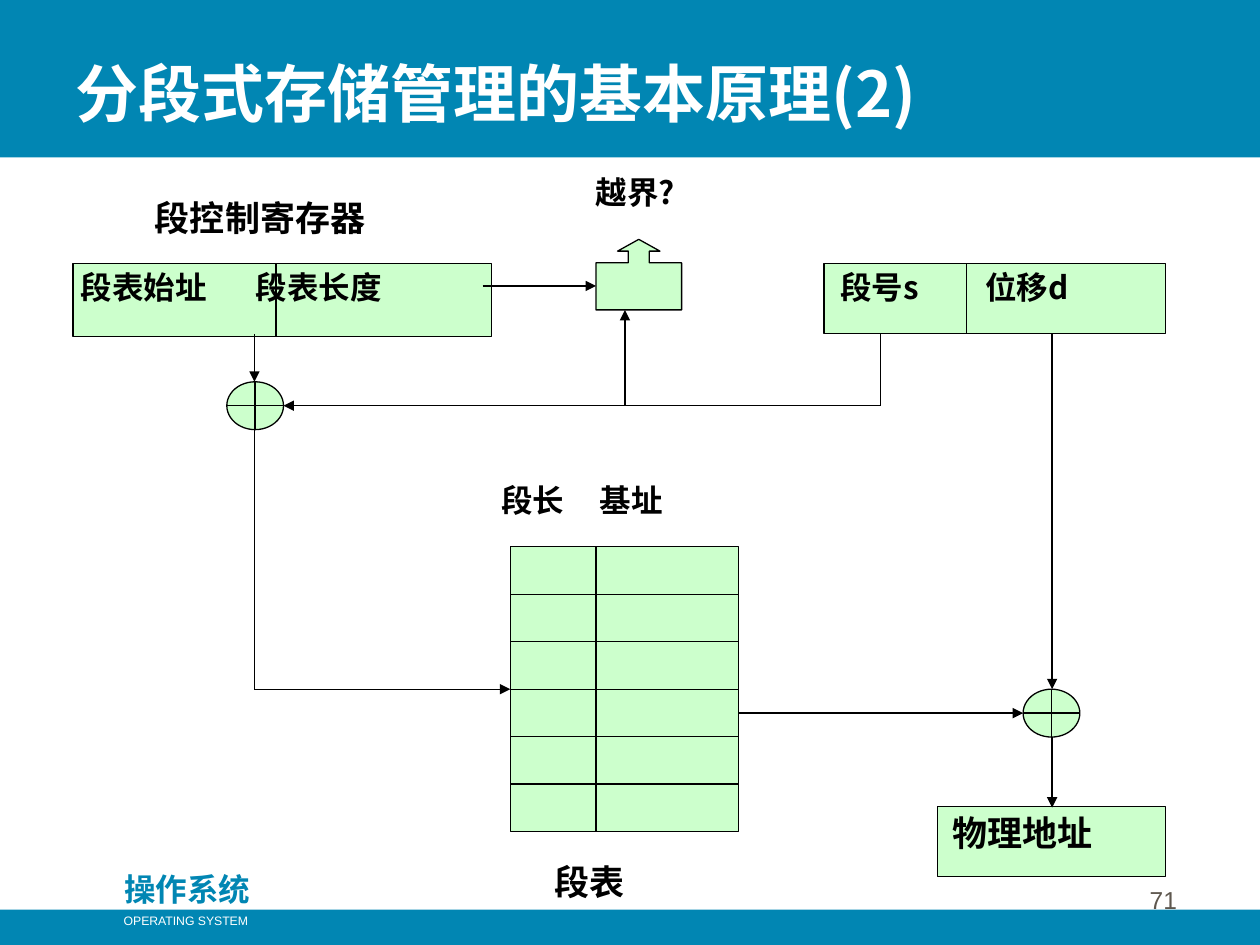
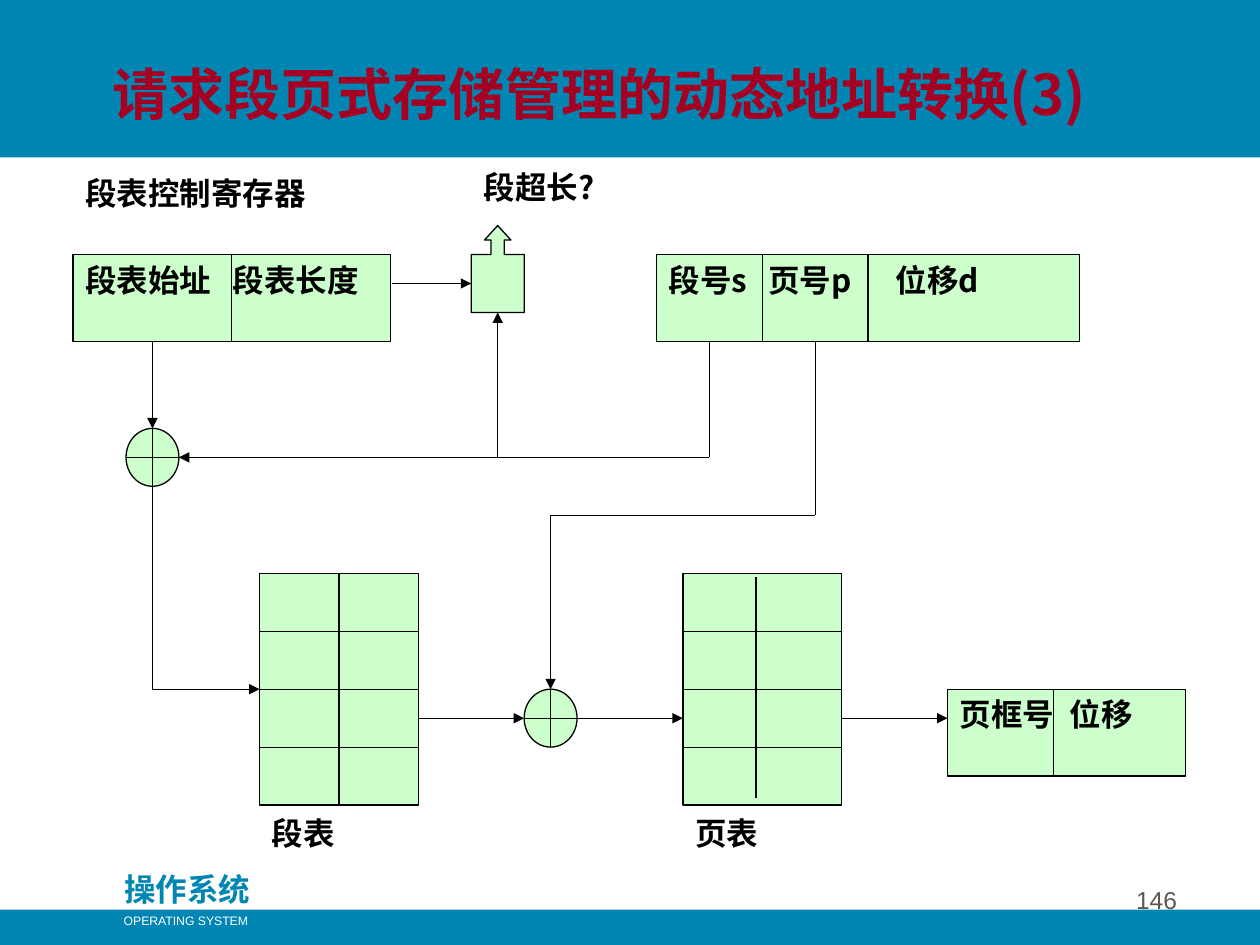
from dataclasses import dataclass
from itertools import pairwise

from lxml.etree import SubElement
from pptx import Presentation
from pptx.dml.color import RGBColor
from pptx.enum.shapes import MSO_CONNECTOR, MSO_SHAPE
from pptx.enum.text import MSO_ANCHOR, MSO_AUTO_SIZE, PP_ALIGN
from pptx.oxml.ns import qn
from pptx.presentation import Presentation as Deck
from pptx.shapes.autoshape import Shape
from pptx.slide import Slide
from pptx.util import Inches, Pt

BLUE = RGBColor(0x01, 0x86, 0xB3)
GREEN = RGBColor(0xCC, 0xFF, 0xCC)
BLACK = RGBColor(0x00, 0x00, 0x00)
WHITE = RGBColor(0xFF, 0xFF, 0xFF)
RED = RGBColor(0xA5, 0x00, 0x21)
GRAY = RGBColor(0x5E, 0x57, 0x4E)
CJK_FONT = "Noto Sans CJK SC"
LATIN_FONT = "Arial"
LINE_WIDTH = Pt(0.75)
TITLE_ONLY = 5

Insets = tuple[float, float, float, float]
Point = tuple[float, float]
WIDE_INSETS = (0.1, 0.05, 0.1, 0.05)
LABEL_INSETS = (0.1, 0, 0.1, 0)


@dataclass(frozen=True)
class Box:
    left: float
    top: float
    width: float
    height: float

    @property
    def right(self) -> float:
        return self.left + self.width

    @property
    def bottom(self) -> float:
        return self.top + self.height

    def lengths(self) -> list[int]:
        return [Inches(value) for value in (self.left, self.top, self.width, self.height)]


@dataclass(frozen=True)
class TextStyle:
    size: float = 18
    color: RGBColor = BLACK
    font: str = CJK_FONT
    bold: bool = True
    alignment: PP_ALIGN = PP_ALIGN.LEFT
    anchor: MSO_ANCHOR = MSO_ANCHOR.TOP
    wrap: bool = True


@dataclass(frozen=True)
class Label:
    """Text in a box; tabs are measured from the left inset."""
    box: Box
    text: str
    insets: Insets = WIDE_INSETS
    style: TextStyle = TextStyle()
    tabs: tuple[float, ...] = ()


@dataclass(frozen=True)
class Register:
    label: Label
    dividers: tuple[float, ...] = ()


@dataclass(frozen=True)
class Grid:
    box: Box
    rows: int
    divider: tuple[Point, Point]


@dataclass(frozen=True)
class Callout:
    box: Box
    adjustments: tuple[float, ...]


@dataclass(frozen=True)
class Route:
    points: tuple[Point, ...]
    arrow: bool = True


@dataclass(frozen=True)
class Diagram:
    title: Label
    number: str
    labels: tuple[Label, ...]
    registers: tuple[Register, ...]
    grids: tuple[Grid, ...]
    callout: Callout
    adders: tuple[Box, ...]
    routes: tuple[Route, ...]


def narrow(left: float) -> Insets:
    return (left, 0.04, 0, 0)


LARGE = TextStyle(size=20)
FOOTER_LABELS = (
    Label(Box(0.83, 6.86, 1.31, 0.4), "操作系统",
          style=TextStyle(color=BLUE, alignment=PP_ALIGN.CENTER)),
    Label(Box(0.88, 7.2, 1.19, 0.22), "OPERATING SYSTEM",
          style=TextStyle(7, WHITE, LATIN_FONT, False, PP_ALIGN.CENTER, wrap=False)),
)
BANDS = (Box(0, 0, 10, 1.25), Box(0, 7.22, 10, 0.28))
NUMBER_BOX = Box(7.36, 6.81, 2.08, 0.5)
NUMBER_STYLE = TextStyle(14, GRAY, LATIN_FONT, False, PP_ALIGN.RIGHT, MSO_ANCHOR.BOTTOM)

SEGMENTATION = Diagram(
    title=Label(Box(0.5, 0.33, 9.25, 0.75), "分段式存储管理的基本原理(2)",
                style=TextStyle(36, WHITE, anchor=MSO_ANCHOR.BOTTOM)),
    number="71",
    labels=(
        Label(Box(1.23, 1.52, 2.35, 0.43), "段控制寄存器", narrow(0), LARGE),
        Label(Box(3.9, 3.78, 2.09, 0.42), "段长\t基址", narrow(0.08), tabs=(0.78,)),
        Label(Box(4.73, 1.33, 1.13, 0.38), "越界?", narrow(0)),
        Label(Box(4.28, 6.79, 1.13, 0.38), "段表", narrow(0.12), LARGE),
    ),
    registers=(
        Register(Label(Box(0.58, 2.09, 3.32, 0.58), "段表始址\t段表长度",
                       narrow(0.06), tabs=(1.39,)), (2.19,)),
        Register(Label(Box(6.54, 2.09, 2.71, 0.56), "段号s\t位移d",
                       narrow(0.13), tabs=(1.15,)), (7.67,)),
        Register(Label(Box(7.44, 6.4, 1.81, 0.56), "物理地址", narrow(0.12), LARGE)),
    ),
    grids=(Grid(Box(4.05, 4.34, 1.81, 2.26), 6, ((4.73, 4.34), (4.73, 6.6))),),
    callout=Callout(Box(4.73, 1.9, 0.68, 0.56), (0.3, 0.3, 0.167, 0.667)),
    adders=(Box(1.8, 3.03, 0.45, 0.38), Box(8.12, 5.47, 0.45, 0.38)),
    routes=(
        Route(((2.02, 2.65), (2.02, 3.03))),
        Route(((6.99, 2.65), (6.99, 3.22), (2.25, 3.22))),
        Route(((2.02, 3.4), (2.02, 5.47), (4.05, 5.47))),
        Route(((5.86, 5.66), (8.12, 5.66))),
        Route(((8.35, 2.65), (8.35, 5.47))),
        Route(((8.35, 5.85), (8.35, 6.41))),
        Route(((4.96, 3.22), (4.96, 2.46))),
        Route(((3.83, 2.27), (4.73, 2.27))),
    ),
)

SEGMENT_PAGING = Diagram(
    title=Label(Box(0.42, 0.42, 8.67, 0.64), "请求段页式存储管理的动态地址转换(3)",
                style=TextStyle(32, RED, alignment=PP_ALIGN.CENTER)),
    number="146",
    labels=(
        Label(Box(0.58, 1.33, 2.1, 0.69), "段表控制寄存器"),
        Label(Box(3.74, 1.33, 1.26, 0.46), "段超长?", LABEL_INSETS),
        Label(Box(2.06, 6.46, 1.26, 0.46), "段表", LABEL_INSETS),
        Label(Box(5.42, 6.46, 1.26, 0.46), "页表", LABEL_INSETS),
    ),
    registers=(
        Register(Label(Box(0.58, 2.02, 2.52, 0.69), "段表始址\t段表长度",
                       tabs=(1.17,)), (1.84,)),
        Register(Label(Box(5.21, 2.02, 3.36, 0.69), "段号s\t页号p\t位移d",
                       tabs=(0.79, 1.8)), (6.05, 6.89)),
        Register(Label(Box(7.52, 5.47, 1.89, 0.69), "页框号\t位移",
                       tabs=(0.87,)), (8.36,)),
    ),
    grids=(
        Grid(Box(2.06, 4.55, 1.26, 1.84), 4, ((2.69, 4.55), (2.69, 6.39))),
        Grid(Box(5.42, 4.55, 1.26, 1.84), 4, ((6, 4.58), (6, 6.33))),
    ),
    callout=Callout(Box(3.74, 1.79, 0.42, 0.69), (0.25, 0.25, 0.274, 0.667)),
    adders=(Box(1, 3.4, 0.42, 0.46), Box(4.16, 5.47, 0.42, 0.46)),
    routes=(
        Route(((1.21, 2.71), (1.21, 3.4))),
        Route(((5.63, 2.71), (5.63, 3.63), (1.42, 3.63))),
        Route(((3.11, 2.25), (3.74, 2.25))),
        Route(((3.95, 3.63), (3.95, 2.48))),
        Route(((1.21, 3.86), (1.21, 5.47), (2.06, 5.47))),
        Route(((3.32, 5.7), (4.16, 5.7))),
        Route(((4.58, 5.7), (5.42, 5.7))),
        Route(((6.47, 2.71), (6.47, 4.09), (4.37, 4.09), (4.37, 5.47))),
        Route(((6.68, 5.7), (7.52, 5.7))),
    ),
)


def set_attributes(target: object, values: dict[str, object]) -> None:
    for name, value in values.items():
        setattr(target, name, value)


def write_text(shape: Shape, label: Label) -> None:
    style = label.style
    frame = shape.text_frame
    left, top, right, bottom = (Inches(inset) for inset in label.insets)
    set_attributes(frame, {
        "margin_left": left, "margin_top": top,
        "margin_right": right, "margin_bottom": bottom,
        "auto_size": MSO_AUTO_SIZE.NONE, "word_wrap": style.wrap,
        "vertical_anchor": style.anchor,
    })
    paragraph = frame.paragraphs[0]
    paragraph.alignment = style.alignment
    if label.tabs:
        tab_list = SubElement(paragraph._p.get_or_add_pPr(), qn("a:tabLst"))
        for position in label.tabs:
            SubElement(tab_list, qn("a:tab"), pos=str(Inches(position)), algn="l")
    run = paragraph.add_run()
    run.text = label.text
    set_attributes(run.font, {"name": style.font, "size": Pt(style.size), "bold": style.bold})
    run.font.color.rgb = style.color
    SubElement(run._r.get_or_add_rPr(), qn("a:ea"), typeface=style.font)


def add_label(slide: Slide, label: Label) -> None:
    write_text(slide.shapes.add_textbox(*label.box.lengths()), label)


def add_filled(slide: Slide, kind: MSO_SHAPE, box: Box, fill: RGBColor = GREEN,
               outlined: bool = True) -> Shape:
    shape = slide.shapes.add_shape(kind, *box.lengths())
    shape.shadow.inherit = False
    shape.fill.solid()
    shape.fill.fore_color.rgb = fill
    if outlined:
        shape.line.color.rgb = BLACK
        shape.line.width = LINE_WIDTH
    else:
        shape.line.fill.background()
    return shape


def add_line(slide: Slide, start: Point, end: Point, arrow: bool = False) -> None:
    ends = [Inches(value) for value in (*start, *end)]
    connector = slide.shapes.add_connector(MSO_CONNECTOR.STRAIGHT, *ends)
    connector.line.color.rgb = BLACK
    connector.line.width = LINE_WIDTH
    if arrow:
        SubElement(connector.line._get_or_add_ln(), qn("a:tailEnd"), type="triangle")
    SubElement(connector._element.spPr, qn("a:effectLst"))


def add_route(slide: Slide, route: Route) -> None:
    """Join the points with lines; only the last line carries the arrowhead."""
    for start, end in pairwise(route.points):
        add_line(slide, start, end, route.arrow and end == route.points[-1])


def add_register(slide: Slide, register: Register) -> None:
    box = register.label.box
    write_text(add_filled(slide, MSO_SHAPE.RECTANGLE, box), register.label)
    for x in register.dividers:
        add_line(slide, (x, box.top), (x, box.bottom))


def add_grid(slide: Slide, grid: Grid) -> None:
    box = grid.box
    add_filled(slide, MSO_SHAPE.RECTANGLE, box)
    for row in range(1, grid.rows):
        y = box.top + row * box.height / grid.rows
        add_line(slide, (box.left, y), (box.right, y))
    add_line(slide, *grid.divider)


def add_frame(slide: Slide, diagram: Diagram) -> None:
    """Draw the bands, footer, page number and title."""
    for band in BANDS:
        add_filled(slide, MSO_SHAPE.RECTANGLE, band, BLUE, outlined=False)
    for label in FOOTER_LABELS:
        add_label(slide, label)
    add_label(slide, Label(NUMBER_BOX, diagram.number, style=NUMBER_STYLE))
    title = slide.shapes.title
    title.element.getparent().append(title.element)
    names = ("left", "top", "width", "height")
    set_attributes(title, dict(zip(names, diagram.title.box.lengths())))
    write_text(title, diagram.title)


def add_diagram(presentation: Deck, diagram: Diagram) -> None:
    slide = presentation.slides.add_slide(presentation.slide_layouts[TITLE_ONLY])
    add_frame(slide, diagram)
    for label in diagram.labels:
        add_label(slide, label)
    for register in diagram.registers:
        add_register(slide, register)
    for grid in diagram.grids:
        add_grid(slide, grid)
    callout = add_filled(slide, MSO_SHAPE.UP_ARROW_CALLOUT, diagram.callout.box)
    for index, value in enumerate(diagram.callout.adjustments):
        callout.adjustments[index] = value
    for adder in diagram.adders:
        add_filled(slide, MSO_SHAPE.FLOWCHART_OR, adder)
    for route in diagram.routes:
        add_route(slide, route)


def main() -> None:
    presentation = Presentation()
    presentation.slide_width = Inches(10)
    presentation.slide_height = Inches(7.5)
    for diagram in (SEGMENTATION, SEGMENT_PAGING):
        add_diagram(presentation, diagram)
    presentation.save("out.pptx")


if __name__ == "__main__":
    main()
